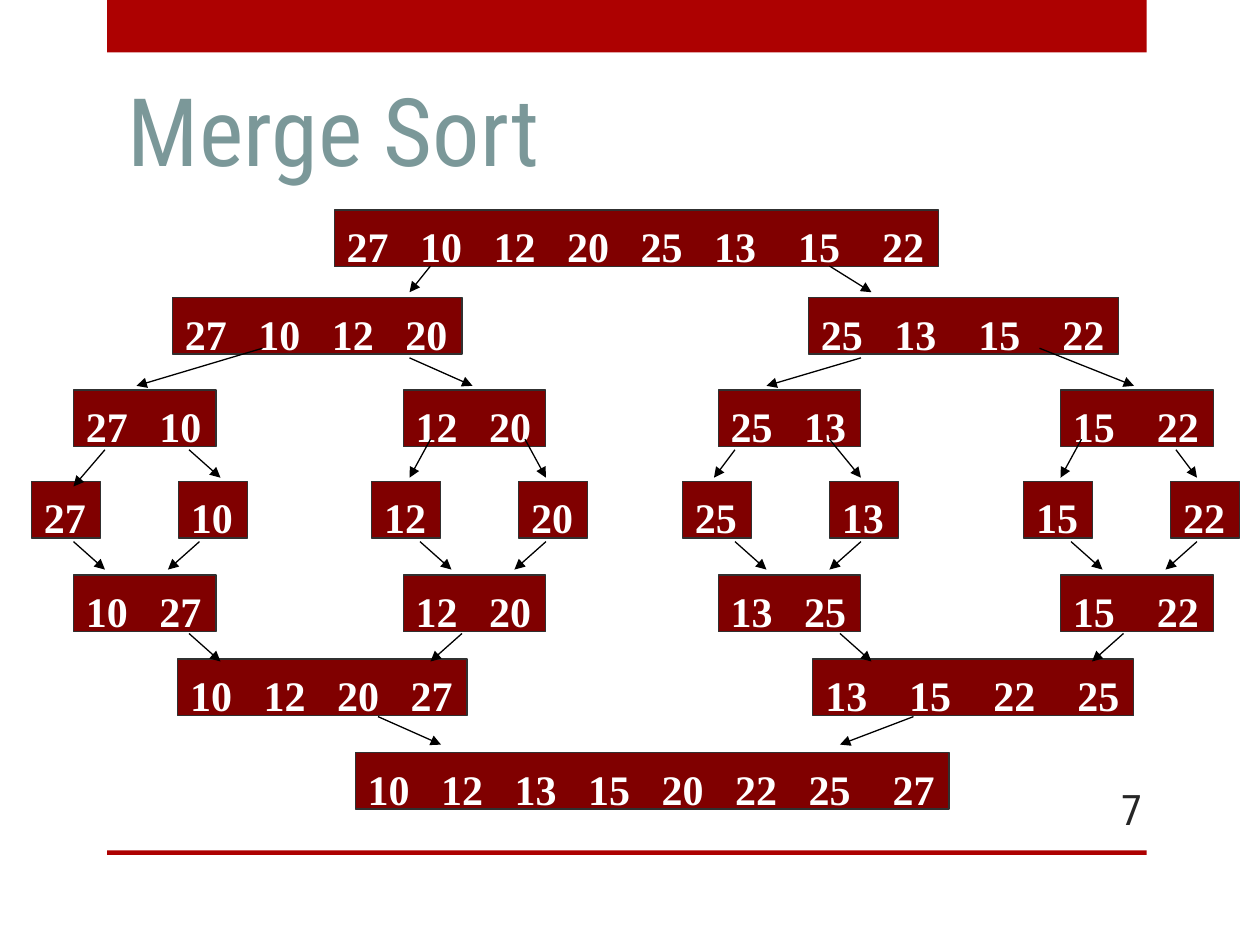
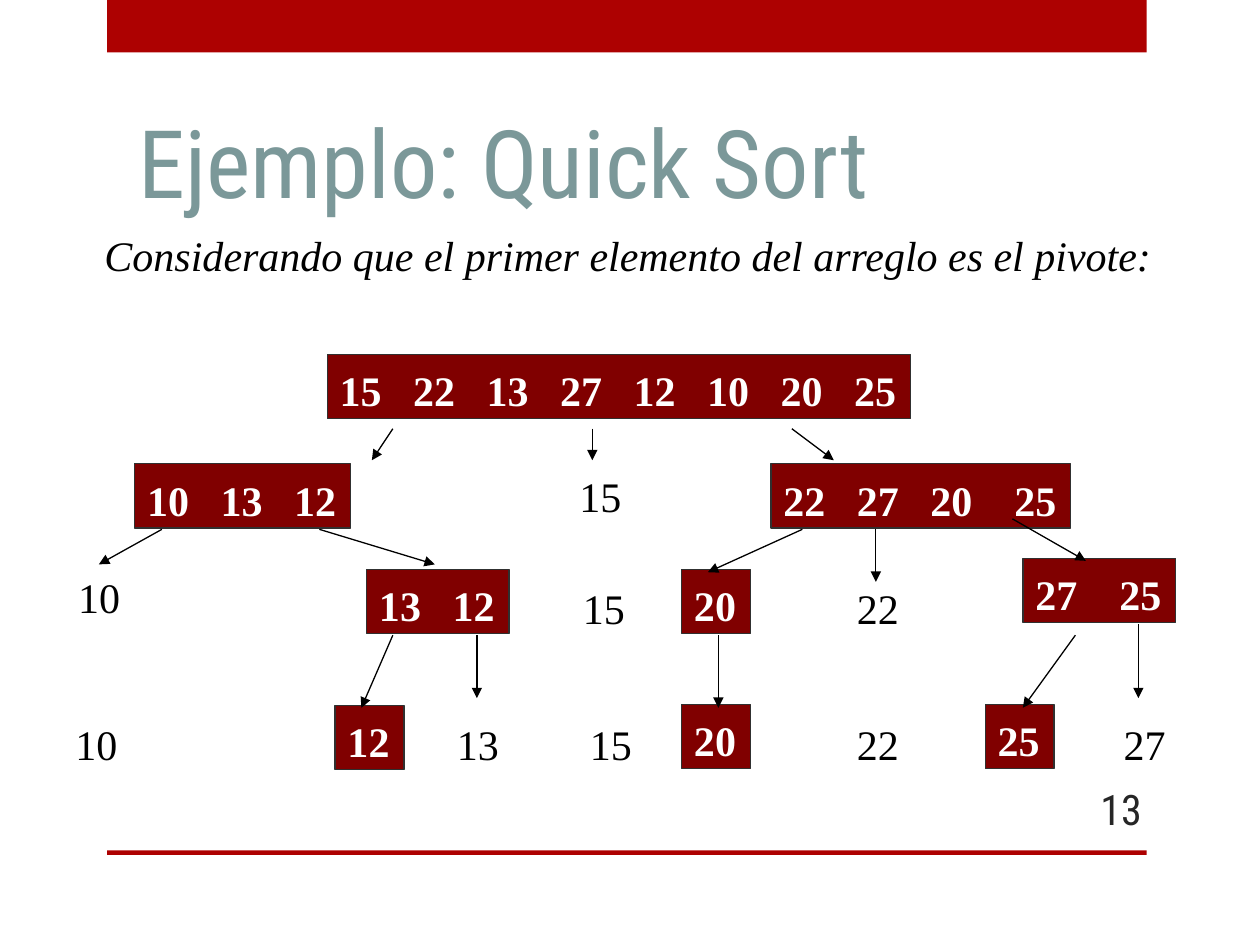
from dataclasses import dataclass

from lxml import etree
from pptx import Presentation
from pptx import util as u
from pptx.dml.color import RGBColor
from pptx.enum import shapes, text
from pptx.oxml.ns import qn

RED, MAROON, EDGE = "AD0101", "800000", "303030"
SERIF, CONDENSED = "Times New Roman", "Roboto Condensed"
TITLE_FONT = {"name": CONDENSED, "size": u.Pt(54)}
PAGE_FONT = {"name": CONDENSED, "size": u.Pt(24)}
VALUE_FONT = {"name": SERIF, "size": u.Pt(24)}
ARRAY_FONT = {**VALUE_FONT, "bold": True}
CAPTION_FONT = {**VALUE_FONT, "italic": True}

DIGITS, GAP, EXTRA_GAP = 24, 18, 6
MARGIN, PADDING = 7.2, 15.4


@dataclass(frozen=True)
class Array:
    """A boxed list of values; its last wide_gaps gaps are broader."""
    values: str
    left: float
    top: float
    wide_gaps: int = 0

    def stops(self) -> list[float]:
        """Offset of each value from the first, which stands at 0."""
        count = len(self.values.split())
        return [i * (DIGITS + GAP) + EXTRA_GAP * max(0, i - (count - 1 - self.wide_gaps))
                for i in range(count)]


@dataclass(frozen=True)
class Value:
    number: str
    left: float
    top: float


@dataclass(frozen=True)
class Arrow:
    x1: float
    y1: float
    x2: float
    y2: float


def color(hex_code: str) -> RGBColor:
    return RGBColor.from_string(hex_code)


def apply(target, values: dict) -> None:
    for name, value in values.items():
        setattr(target, name, value)


def write(shape, words: str, font: dict, ink: str, anchor=text.MSO_ANCHOR.TOP,
          align=text.PP_ALIGN.LEFT, wrap: bool = False,
          inset_top: float = 3.6, inset_bottom: float = 3.6):
    """Fill the shape with one formatted paragraph and return it."""
    frame = shape.text_frame
    apply(frame, {"word_wrap": wrap, "vertical_anchor": anchor,
                  "margin_left": u.Pt(MARGIN), "margin_right": u.Pt(MARGIN),
                  "margin_top": u.Pt(inset_top), "margin_bottom": u.Pt(inset_bottom)})
    paragraph = frame.paragraphs[0]
    paragraph.alignment = align
    run = paragraph.add_run()
    run.text = words
    apply(run.font, font)
    run.font.color.rgb = color(ink)
    return paragraph


def add_rectangle(slide, left: float, top: float, width: float, height: float, fill: str):
    box = slide.shapes.add_shape(shapes.MSO_SHAPE.RECTANGLE,
                                 u.Pt(left), u.Pt(top), u.Pt(width), u.Pt(height))
    box.shadow.inherit = False
    box.fill.solid()
    box.fill.fore_color.rgb = color(fill)
    box.line.fill.background()
    return box


def add_label(slide, left: float, top: float, width: float, height: float,
              words: str, font: dict, ink: str, **layout) -> None:
    label = slide.shapes.add_textbox(u.Pt(left), u.Pt(top), u.Pt(width), u.Pt(height))
    write(label, words, font, ink, **layout)


def add_array(slide, array: Array, height: float) -> None:
    stops = array.stops()
    box = add_rectangle(slide, array.left, array.top, stops[-1] + DIGITS + PADDING, height, MAROON)
    box.line.color.rgb = color(EDGE)
    box.line.width = u.Pt(0.75)
    paragraph = write(box, "\t".join(array.values.split()), ARRAY_FONT, "FFFFFF",
                      wrap=True, inset_top=6, inset_bottom=0)
    box.text_frame.margin_right = 0
    if len(stops) > 1:
        tabs = etree.SubElement(paragraph._p.get_or_add_pPr(), qn("a:tabLst"))
        for stop in stops[1:]:
            etree.SubElement(tabs, qn("a:tab"), pos=str(int(u.Pt(stop))), algn="l")


def add_arrow(slide, arrow: Arrow) -> None:
    line = slide.shapes.add_connector(shapes.MSO_CONNECTOR.STRAIGHT, u.Pt(arrow.x1),
                                      u.Pt(arrow.y1), u.Pt(arrow.x2), u.Pt(arrow.y2))
    line.line.color.rgb = color("000000")
    line.line.width = u.Pt(0.75)
    properties = line._element.spPr
    etree.SubElement(properties.get_or_add_ln(), qn("a:tailEnd"), type="triangle")
    etree.SubElement(properties, qn("a:effectLst"))


def add_slide(deck, title: str, left: float, top: float, page: str):
    """Blank slide with the shared bands, title and page number."""
    slide = deck.slides.add_slide(deck.slide_layouts[6])
    for band_top, band_height in ((0, 30), (486, 2.5)):
        add_rectangle(slide, 61.2, band_top, 594, band_height, RED)
    add_label(slide, left, top, 553, 90, title, TITLE_FONT, "7B9899",
              anchor=text.MSO_ANCHOR.BOTTOM, wrap=True, inset_bottom=2)
    add_label(slide, 600, 448, 59.5, 28.8, page, PAGE_FONT, "262626",
              anchor=text.MSO_ANCHOR.MIDDLE, align=text.PP_ALIGN.RIGHT, wrap=True)
    return slide


def add_diagram(slide, arrays: list[Array], arrows: list[Arrow], height: float) -> None:
    for array in arrays:
        add_array(slide, array, height)
    for arrow in arrows:
        add_arrow(slide, arrow)


def build_merge_sort(deck) -> None:
    slide = add_slide(deck, "Merge Sort", 66, 18, "7")
    pair_lefts = (42, 230.4, 410.4, 606)
    pair_gaps = (0, 0, 0, 1)
    split_pairs = ("27 10", "12 20", "25 13", "15 22")
    merged_pairs = ("10 27", "12 20", "13 25", "15 22")
    arrays = [
        Array("27 10 12 20 25 13 15 22", 191, 120, 2),
        Array("27 10 12 20", 98.6, 170),
        Array("25 13 15 22", 462, 170, 2),
        Array("10 12 20 27", 101.5, 376.5),
        Array("13 15 22 25", 464.5, 376.5, 3),
        Array("10 12 13 15 20 22 25 27", 203, 430, 1),
    ]
    for top, pairs in ((222.8, split_pairs), (328.6, merged_pairs)):
        arrays += [Array(pair, left, top, wide)
                   for pair, left, wide in zip(pairs, pair_lefts, pair_gaps)]
    for left, pair in zip((18, 212.4, 390, 585), split_pairs):
        arrays += [Array(single, left + 84 * i, 275) for i, single in enumerate(pair.split())]

    splits = [
        Arrow(246, 152, 234, 167), Arrow(474, 152, 498, 167),
        Arrow(150, 199, 78, 220.5), Arrow(234, 204.5, 270, 220.5),
        Arrow(492, 204.5, 438, 220.5), Arrow(594, 199, 648, 220.5),
        Arrow(60, 257, 42, 278), Arrow(108, 257, 126, 273),
        Arrow(246, 251, 234, 273), Arrow(300, 251, 312, 273),
        Arrow(420, 257, 408, 273), Arrow(474, 251, 492, 273),
        Arrow(618, 251, 606, 273), Arrow(672, 257, 684, 273),
    ]
    merges = [Arrow(216, 409.5, 252, 425.5), Arrow(522, 409.5, 480, 425.5)]
    for top, spans in ((309.5, ((42, 114), (240, 312), (420, 492), (612, 684))),
                       (362, ((108, 264), (480, 642)))):
        for left, right in spans:
            merges += [Arrow(left, top, left + 18, top + 16),
                       Arrow(right, top, right - 18, top + 16)]
    add_diagram(slide, arrays, splits + merges, 32.4)


def build_quick_sort(deck) -> None:
    slide = add_slide(deck, "Ejemplo: Quick Sort", 72, 36, "13")
    add_label(slide, 52.6, 126, 613.4, 36,
              "Considerando que el primer elemento del arreglo es el pivote:",
              CAPTION_FONT, "000000", inset_top=5)
    arrays = [
        Array("15 22 13 27 12 10 20 25", 187, 202.5),
        Array("10 13 12", 77, 265), Array("22 27 20 25", 440.5, 265, 1),
        Array("13 12", 209.5, 325.3), Array("20", 389.5, 325.3), Array("27 25", 584.5, 319, 1),
        Array("12", 191.5, 403), Array("20", 389.5, 402.5), Array("25", 563, 402.5),
    ]
    pivots = [Value("15", 324, 263), Value("10", 37.5, 320.5),
              Value("15", 326, 327), Value("22", 482.5, 327)]
    pivots += [Value(number, left, 404.7) for number, left in
               (("10", 36), ("13", 254), ("15", 330), ("22", 482.5), ("27", 635))]
    for pivot in pivots:
        add_label(slide, pivot.left, pivot.top, 38.4, 36, pivot.number,
                  VALUE_FONT, "000000", inset_top=6)
    arrows = [
        Arrow(224.5, 245, 212.5, 263), Arrow(338.5, 245, 338.5, 263),
        Arrow(452.5, 245, 476.5, 263),
        Arrow(92.5, 302.5, 56.5, 322.5), Arrow(182.5, 302.5, 248.5, 322.5),
        Arrow(458.5, 302.5, 404.5, 327), Arrow(500.5, 302.5, 500.5, 332.5),
        Arrow(578.5, 296.5, 620.5, 320.5),
        Arrow(224.5, 363, 206.5, 404.5), Arrow(272.5, 363, 272.5, 399),
        Arrow(410.5, 363, 410.5, 404.5), Arrow(614.5, 363, 584.5, 404.5),
        Arrow(650.5, 356.5, 650.5, 399),
    ]
    add_diagram(slide, arrays, arrows, 36.7)


def main() -> None:
    deck = Presentation()
    apply(deck, {"slide_width": u.Pt(720), "slide_height": u.Pt(540)})
    build_merge_sort(deck)
    build_quick_sort(deck)
    deck.save("out.pptx")


if __name__ == "__main__":
    main()
